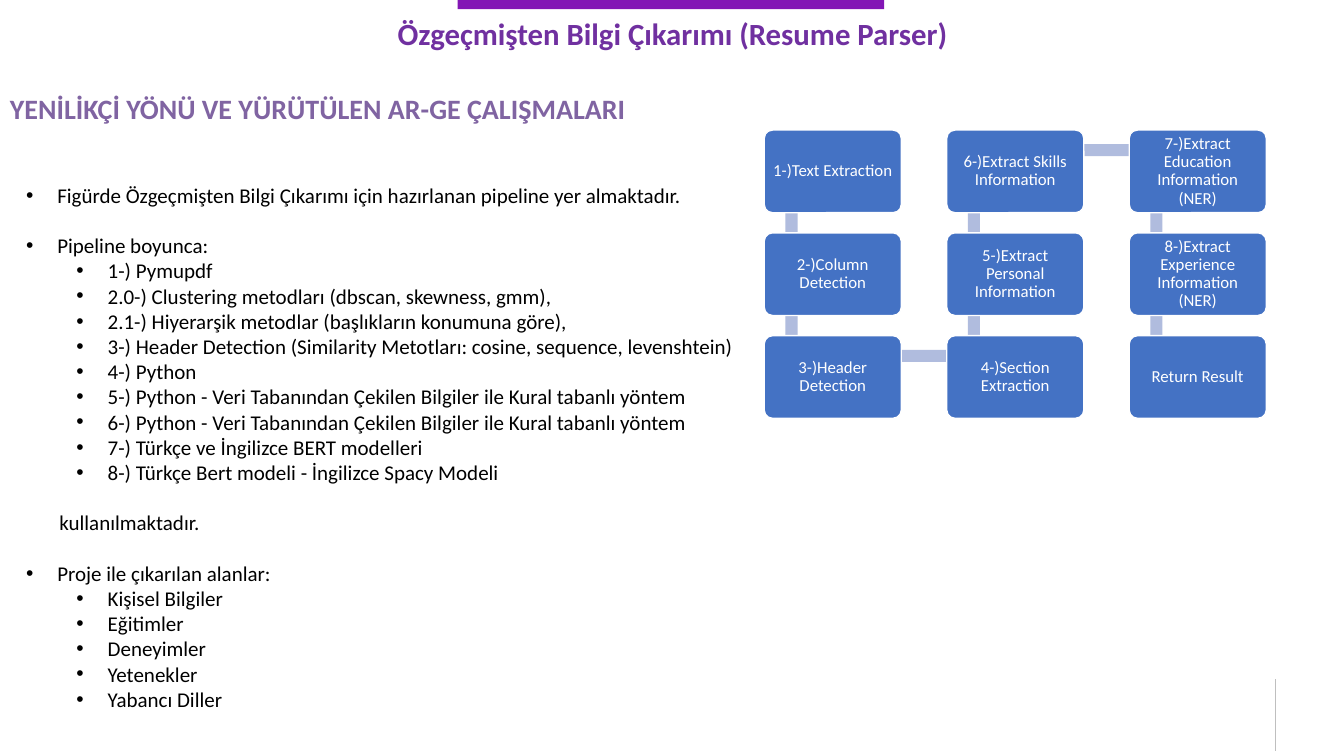
from lxml import etree
from pptx import Presentation
from pptx import util as u
from pptx.dml.color import RGBColor
from pptx.enum import shapes, text
from pptx.oxml import ns

COLORS = {
    "bar": "8316B5", "title": "7030A0", "heading": "8064A2", "body": "000000",
    "step": "4472C4", "link": "B0BCDE", "white": "FFFFFF", "rule": "BFBFBF",
}
TITLE = "Özgeçmişten Bilgi Çıkarımı (Resume Parser)"
HEADING = "YENİLİKÇİ YÖNÜ VE YÜRÜTÜLEN AR-GE ÇALIŞMALARI"
PLAIN, TOP, SUB = "plain", "top", "sub"
INDENTS = {PLAIN: (0.33, 0), TOP: (0.31, -0.31), SUB: (0.81, -0.31)}
BODY = [
    (TOP, "Figürde Özgeçmişten Bilgi Çıkarımı için hazırlanan pipeline yer almaktadır."),
    (TOP, "Pipeline boyunca:"),
    (SUB, "1-) Pymupdf"),
    (SUB, "2.0-) Clustering metodları (dbscan, skewness, gmm),"),
    (SUB, "2.1-) Hiyerarşik metodlar (başlıkların konumuna göre),"),
    (SUB, "3-) Header Detection (Similarity Metotları: cosine, sequence, levenshtein)"),
    (SUB, "4-) Python"),
    (SUB, "5-) Python - Veri Tabanından Çekilen Bilgiler ile Kural tabanlı yöntem"),
    (SUB, "6-) Python - Veri Tabanından Çekilen Bilgiler ile Kural tabanlı yöntem"),
    (SUB, "7-) Türkçe ve İngilizce BERT modelleri"),
    (SUB, "8-) Türkçe Bert modeli - İngilizce Spacy Modeli"),
    (PLAIN, "kullanılmaktadır."),
    (TOP, "Proje ile çıkarılan alanlar:"),
    (SUB, "Kişisel Bilgiler"),
    (SUB, "Eğitimler"),
    (SUB, "Deneyimler"),
    (SUB, "Yetenekler"),
    (SUB, "Yabancı Diller"),
]
STEPS = [
    "1-)Text Extraction", "2-)Column Detection", "3-)Header Detection",
    "4-)Section Extraction", "5-)Extract Personal Information",
    "6-)Extract Skills Information", "7-)Extract Education Information (NER)",
    "8-)Extract Experience Information (NER)", "Return Result",
]
ROWS = 3
LEFT, TOP_EDGE = 7.58, 1.29
COLUMN_STEP, ROW_STEP = 1.81, 1.02
STEP_WIDTH, STEP_HEIGHT = 1.36, 0.82
LINK = 0.12


class SlideBuilder:
    font_name = "Calibri"

    def __init__(self, presentation):
        self.slide = presentation.slides.add_slide(presentation.slide_layouts[5])

    def style(self, paragraph, size, color, bold=False):
        font = paragraph.font
        font.name, font.size, font.bold = self.font_name, u.Pt(size), bold
        font.color.rgb = RGBColor.from_string(COLORS[color])

    def place(self, shape, left, top, width, height):
        shape.left, shape.top = u.Inches(left), u.Inches(top)
        shape.width, shape.height = u.Inches(width), u.Inches(height)

    def title(self, words, *box):
        shape = self.slide.shapes.title
        self.place(shape, *box)
        frame = shape.text_frame
        frame.text = words
        frame.vertical_anchor = text.MSO_ANCHOR.TOP
        frame.auto_size = text.MSO_AUTO_SIZE.NONE
        frame.paragraphs[0].alignment = text.PP_ALIGN.CENTER
        self.style(frame.paragraphs[0], 22, "title", True)

    def text_box(self, *box):
        shape = self.slide.shapes.add_textbox(*map(u.Inches, box))
        shape.text_frame.word_wrap = True
        return shape.text_frame

    def heading(self, words, *box):
        frame = self.text_box(*box)
        frame.margin_top = u.Inches(0.29)
        frame.text = words
        self.style(frame.paragraphs[0], 20, "heading", True)

    def bullets(self, items, *box):
        frame = self.text_box(*box)
        for index, (kind, words) in enumerate(items):
            paragraph = frame.paragraphs[0] if index == 0 else frame.add_paragraph()
            paragraph.text = words
            paragraph.level = int(kind == SUB)
            if index and kind != SUB:
                paragraph.space_before = u.Pt(18)
            margin, indent = INDENTS[kind]
            properties = paragraph._p.get_or_add_pPr()
            properties.set("marL", str(u.Inches(margin)))
            properties.set("indent", str(u.Inches(indent)))
            if kind != PLAIN:
                etree.SubElement(properties, ns.qn("a:buFont"), typeface="Arial")
                etree.SubElement(properties, ns.qn("a:buChar"), char="•")
            self.style(paragraph, 15, "body")

    def block(self, color, *box, preset=shapes.MSO_SHAPE.RECTANGLE):
        shape = self.slide.shapes.add_shape(preset, *map(u.Inches, box))
        shape.shadow.inherit = False
        shape.fill.solid()
        shape.fill.fore_color.rgb = RGBColor.from_string(COLORS[color])
        shape.line.fill.background()
        return shape

    def step(self, words, *box):
        shape = self.block("step", *box, preset=shapes.MSO_SHAPE.ROUNDED_RECTANGLE)
        shape.adjustments[0] = 0.1
        shape.line.color.rgb = RGBColor.from_string(COLORS["white"])
        shape.line.width = u.Pt(1)
        frame = shape.text_frame
        frame.word_wrap = True
        frame.vertical_anchor = text.MSO_ANCHOR.MIDDLE
        frame.margin_left = frame.margin_right = u.Inches(0.05)
        frame.margin_top = frame.margin_bottom = u.Inches(0.05)
        frame.text = words
        paragraph = frame.paragraphs[0]
        paragraph.alignment = text.PP_ALIGN.CENTER
        paragraph.line_spacing = 0.9
        self.style(paragraph, 12, "white")

    def rule(self, *ends):
        line = self.slide.shapes.add_connector(
            shapes.MSO_CONNECTOR.STRAIGHT, *map(u.Inches, ends))
        line.line.color.rgb = RGBColor.from_string(COLORS["rule"])
        line.line.width = u.Pt(0.5)
        etree.SubElement(line._element.spPr, ns.qn("a:effectLst"))

    def pipeline(self, steps):
        places = []
        for index in range(len(steps)):
            column, row = divmod(index, ROWS)
            if column % 2:
                row = ROWS - 1 - row
            places.append((LEFT + column * COLUMN_STEP, TOP_EDGE + row * ROW_STEP))
        for (left, top), (next_left, next_top) in zip(places, places[1:]):
            if left == next_left:
                self.block("link", left + 0.21, min(top, next_top) + 0.2, LINK, 1.01)
            else:
                self.block("link", left + 0.28, top + 0.14, 1.8, LINK)
        for words, place in zip(steps, places):
            self.step(words, *place, STEP_WIDTH, STEP_HEIGHT)


def main():
    presentation = Presentation()
    presentation.slide_width = u.Inches(13.33)
    presentation.slide_height = u.Inches(7.5)
    builder = SlideBuilder(presentation)
    builder.rule(12.65, 6.74, 12.65, 7.45)
    builder.block("bar", 4.54, 0, 4.23, 0.09)
    builder.title(TITLE, 0.92, 0.1, 11.5, 0.84)
    builder.heading(HEADING, 0, 0.62, 11.89, 1.21)
    builder.bullets(BODY, 0.16, 1.76, 7.28, 5.91)
    builder.pipeline(STEPS)
    presentation.save("out.pptx")


if __name__ == "__main__":
    main()
